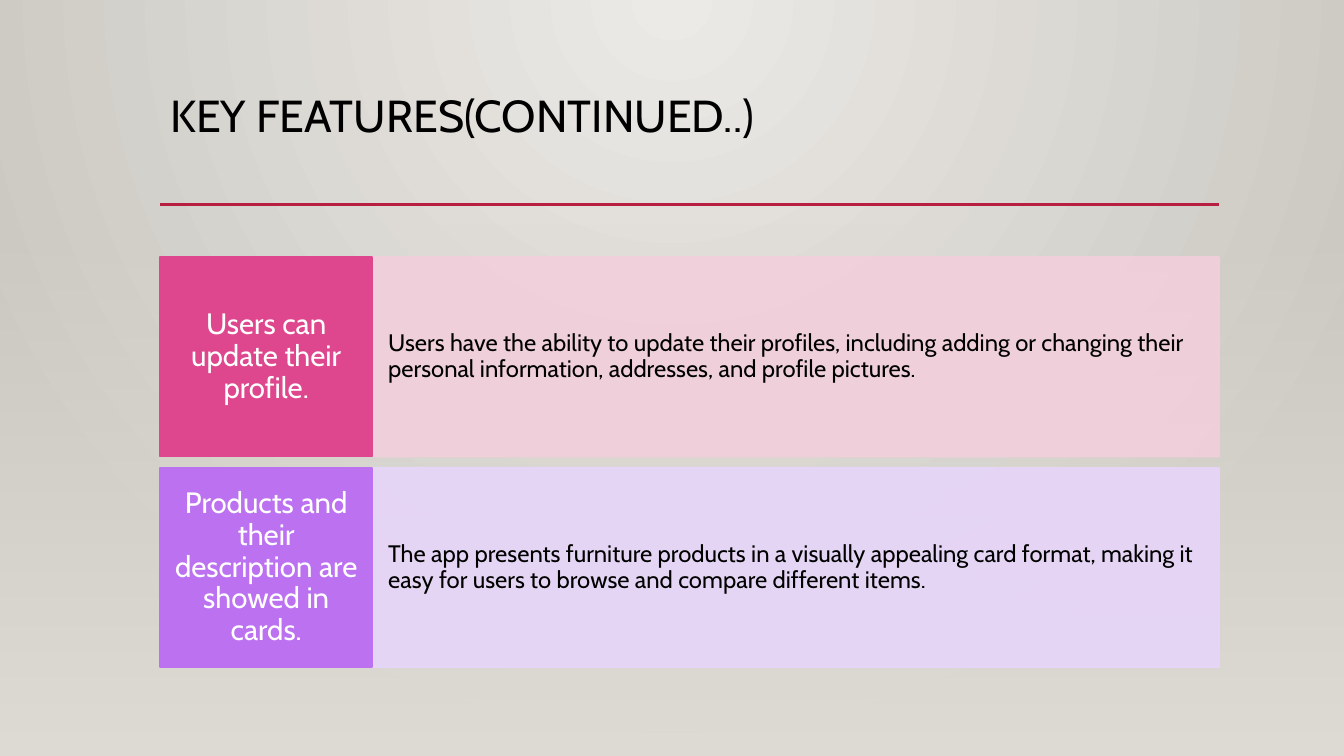
"""Build the key features slide with two labelled feature rows."""
import pptx
import pptx.dml.color
import pptx.enum.shapes
import pptx.enum.text
import pptx.oxml
import pptx.oxml.ns
import pptx.util

Inches = pptx.util.Inches
Pt = pptx.util.Pt
PP_ALIGN = pptx.enum.text.PP_ALIGN
MSO_ANCHOR = pptx.enum.text.MSO_ANCHOR
qn = pptx.oxml.ns.qn

COLORS = {
    "glow": "ECEAE7", "edge": "CAC7C1", "floor": "DFDBD5", "rule": "B71E42",
    "black": "000000", "white": "FFFFFF",
    "pink": "DE478E", "pale_pink": "F2CFDB",
    "purple": "BC72F0", "pale_purple": "E7D5F9",
}
FEATURES = [
    ("Users can update their profile.",
     "Users have the ability to update their profiles, including adding or "
     "changing their personal information, addresses, and profile pictures.",
     "pink", "pale_pink"),
    ("Products and their description are showed in cards.",
     "The app presents furniture products in a visually appealing card format, "
     "making it easy for users to browse and compare different items.",
     "purple", "pale_purple"),
]
WIDTH, HEIGHT = 13.33, 7.5
LEFT, LABEL_W, DETAIL_W = 1.59, 2.1, 8.4
ROW_TOP, ROW_H, ROW_PITCH = 2.55, 1.98, 2.09


class SlideBuilder:
    def __init__(self, slide, font):
        self.slide = slide
        self.font = font

    def color(self, name):
        return pptx.dml.color.RGBColor.from_string(COLORS[name])

    def set_alpha(self, element, percent):
        for clr in element.iter(qn("a:srgbClr")):
            alpha = pptx.oxml.parse_xml(
                f'<a:alpha {pptx.oxml.ns.nsdecls("a")} val="{percent * 1000}"/>')
            clr.append(alpha)

    def gradient(self, fill, first, last):
        fill.gradient()
        for stop, name in zip(fill.gradient_stops, (first, last)):
            stop.color.rgb = self.color(name)

    def background(self, center, edge):
        self.gradient(self.slide.background.fill, center, edge)
        grad = next(self.slide.element.iter(qn("a:gradFill")))
        grad.remove(grad.find(qn("a:lin")))
        grad.append(pptx.oxml.parse_xml(
            f'<a:path {pptx.oxml.ns.nsdecls("a")} path="circle">'
            '<a:fillToRect l="43000" t="0" r="43000" b="100000"/></a:path>'))

    def rect(self, x, y, w, h):
        sp = self.slide.shapes.add_shape(
            pptx.enum.shapes.MSO_SHAPE.RECTANGLE,
            Inches(x), Inches(y), Inches(w), Inches(h))
        sp.shadow.inherit = False
        return sp

    def fade(self, x, y, w, h, color):
        sp = self.rect(x, y, w, h)
        sp.line.fill.background()
        self.gradient(sp.fill, color, color)
        sp.fill.gradient_angle = 270
        first_stop = next(sp.element.spPr.iter(qn("a:gs")))
        self.set_alpha(first_stop, 0)

    def set_text(self, sp, text, size, color, align, anchor, inset_x, inset_y):
        tf = sp.text_frame
        tf.word_wrap = True
        tf.vertical_anchor = anchor
        tf.margin_left = tf.margin_right = Inches(inset_x)
        tf.margin_top = tf.margin_bottom = Inches(inset_y)
        p = tf.paragraphs[0]
        p.alignment = align
        p.line_spacing = 0.9
        r = p.add_run()
        r.text = text
        r.font.name = self.font
        r.font.size = Pt(size)
        r.font.color.rgb = self.color(color)

    def title(self, x, y, w, h, text):
        sp = self.slide.shapes.add_textbox(
            Inches(x), Inches(y), Inches(w), Inches(h))
        self.set_text(sp, text, 32, "black", PP_ALIGN.LEFT, MSO_ANCHOR.TOP, 0.1, 0.05)

    def rule(self, x, y, w, color):
        line = self.slide.shapes.add_connector(
            pptx.enum.shapes.MSO_CONNECTOR.STRAIGHT,
            Inches(x), Inches(y), Inches(x + w), Inches(y))
        line.line.color.rgb = self.color(color)
        line.line.width = Pt(2.5)
        line.element.spPr.append(pptx.oxml.parse_xml(
            f'<a:effectLst {pptx.oxml.ns.nsdecls("a")}/>'))

    def panel(self, x, y, w, h, color, alpha=100):
        sp = self.rect(x, y, w, h)
        sp.fill.solid()
        sp.fill.fore_color.rgb = self.color(color)
        sp.line.color.rgb = self.color(color)
        sp.line.width = Pt(1.25)
        if alpha < 100:
            self.set_alpha(sp.element.spPr, alpha)
        return sp

    def feature(self, y, label, detail, strong, pale):
        sp = self.panel(LEFT + LABEL_W, y, DETAIL_W, ROW_H, pale, 90)
        self.set_text(sp, detail, 17, "black", PP_ALIGN.LEFT, MSO_ANCHOR.MIDDLE, 0.16, 0.5)
        sp = self.panel(LEFT, y, LABEL_W, ROW_H, strong)
        self.set_text(sp, label, 21, "white", PP_ALIGN.CENTER, MSO_ANCHOR.MIDDLE, 0.11, 0.2)


def main():
    prs = pptx.Presentation()
    prs.slide_width, prs.slide_height = Inches(WIDTH), Inches(HEIGHT)
    s = SlideBuilder(prs.slides.add_slide(prs.slide_layouts[6]), "Cabin")
    s.background("glow", "edge")
    s.fade(0, 2.21, WIDTH, HEIGHT - 2.21, "floor")
    s.title(LEFT, 0.88, LABEL_W + DETAIL_W, 1.15, "KEY FEATURES(CONTINUED..)")
    s.rule(LEFT, 2.03, LABEL_W + DETAIL_W, "rule")
    for i, feature in enumerate(FEATURES):
        s.feature(ROW_TOP + i * ROW_PITCH, *feature)
    prs.save("out.pptx")


if __name__ == "__main__":
    main()
